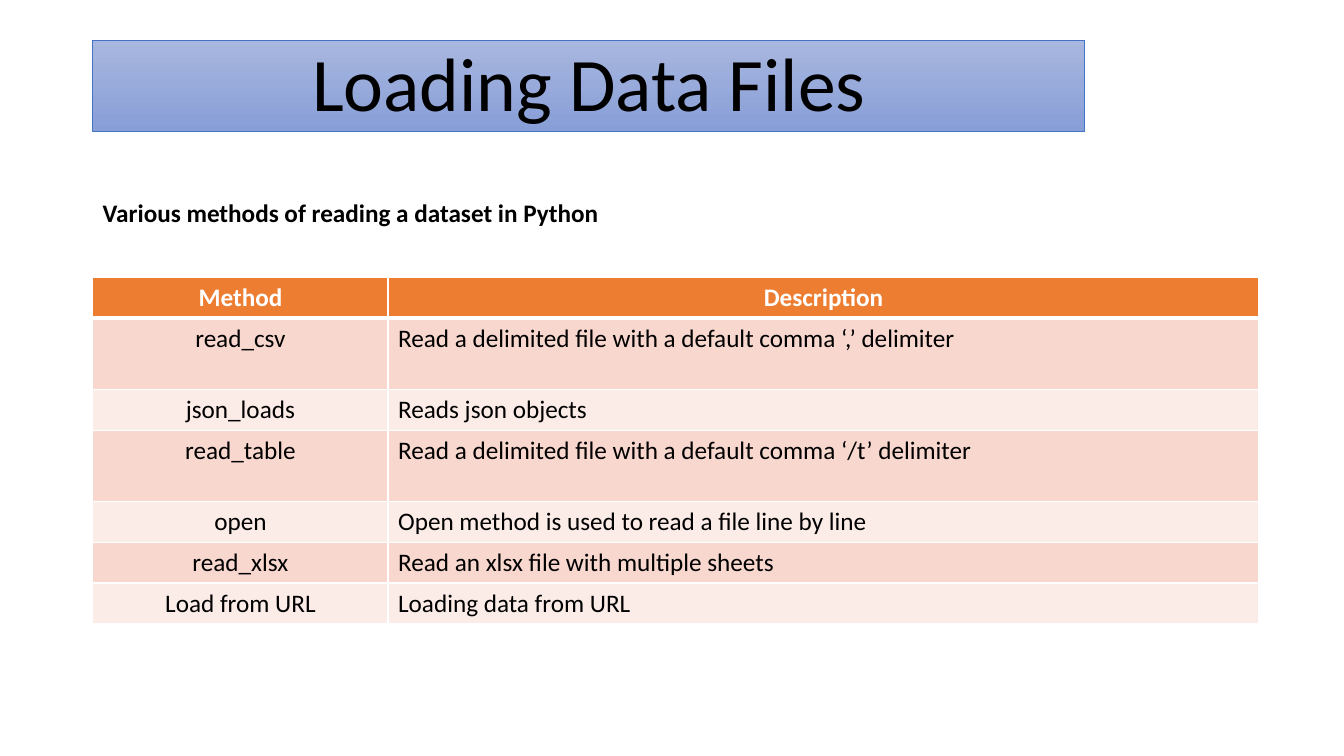
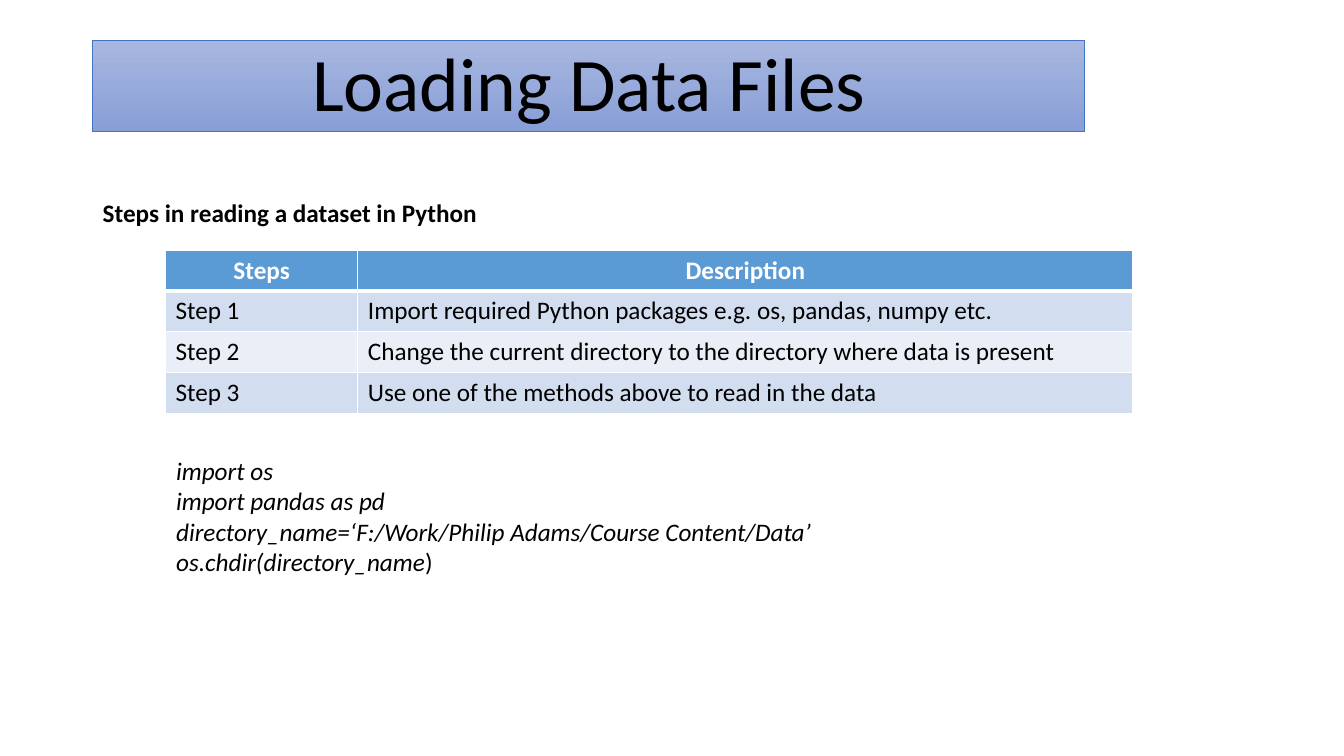
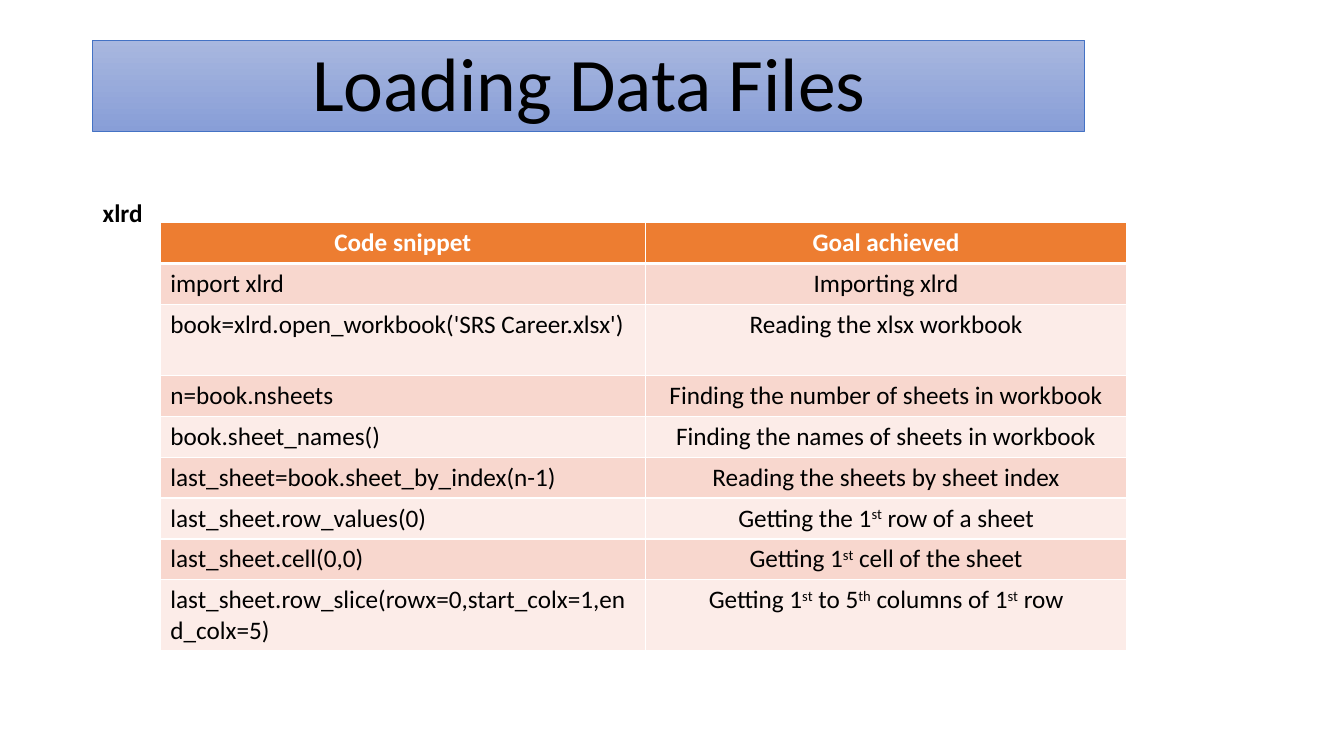
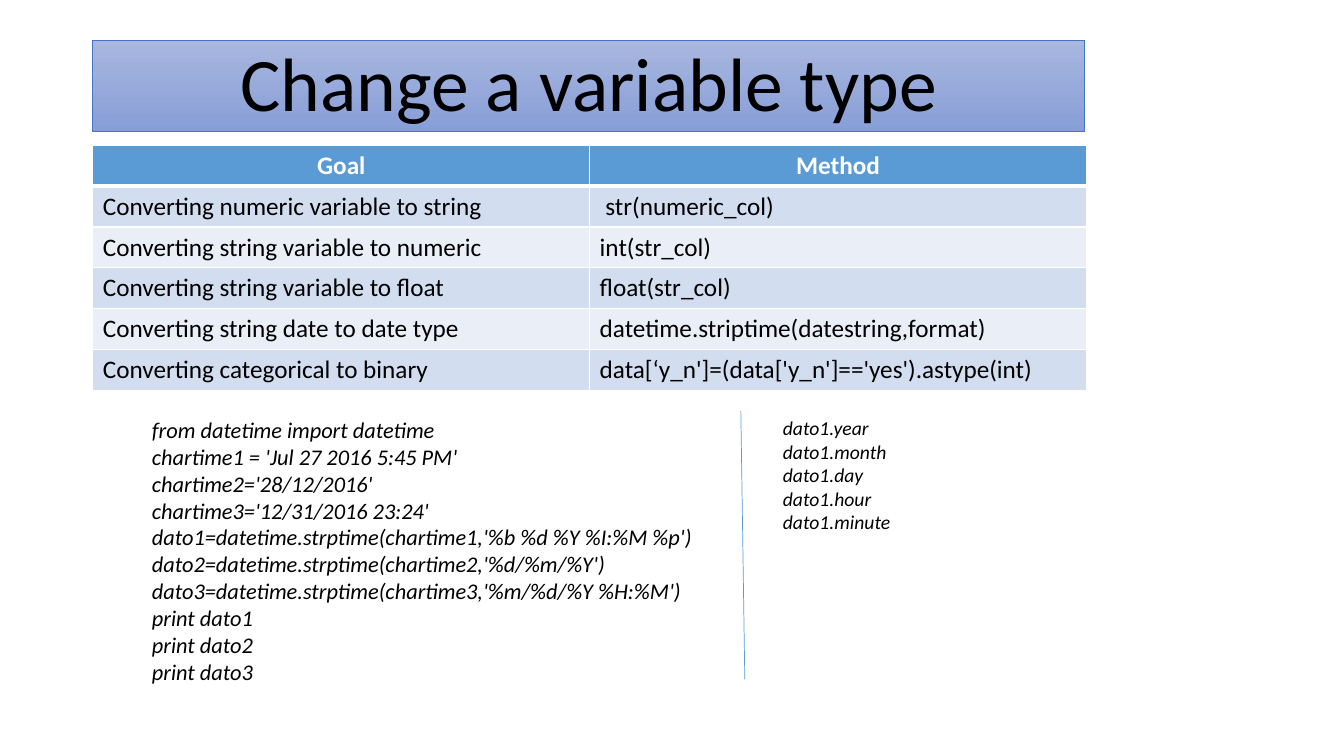
import pptx
import pptx.dml.color
import pptx.enum.shapes
import pptx.enum.text
import pptx.oxml
import pptx.oxml.ns
import pptx.util

Cm = pptx.util.Cm
Pt = pptx.util.Pt
RGBColor = pptx.dml.color.RGBColor
LEFT = pptx.enum.text.PP_ALIGN.LEFT
CENTER = pptx.enum.text.PP_ALIGN.CENTER

FONT = "Calibri"
BLACK = RGBColor(0x00, 0x00, 0x00)
WHITE = RGBColor(0xFF, 0xFF, 0xFF)
TITLE_TOP = RGBColor(0xA8, 0xB7, 0xDF)
TITLE_BOTTOM = RGBColor(0x88, 0x9E, 0xD7)
TITLE_LINE = RGBColor(0x44, 0x72, 0xC4)
BLUE = RGBColor(0x5B, 0x9B, 0xD5)
# Header, odd rows, even rows
ORANGE_ROWS = (RGBColor(0xED, 0x7D, 0x31), RGBColor(0xF8, 0xD7, 0xCE), RGBColor(0xFC, 0xEC, 0xE8))
BLUE_ROWS = (BLUE, RGBColor(0xD2, 0xDE, 0xEF), RGBColor(0xEA, 0xEF, 0xF7))

MARGIN = 2.34
TITLE_BOX = (MARGIN, 1.02, 25, 2.29)
SUBHEAD_BOX = (MARGIN, 4.85, 14.02, 1.02)
ROW_HEIGHT, TALL_ROW_HEIGHT = 1.03, 1.79

# Text between ^ marks is superscript; code after a | mark is upright.
SLIDES = [
    {
        "title": "Loading Data Files",
        "subhead": "Various methods of reading a dataset in Python",
        "table": {
            "corner": (MARGIN, 6.99), "widths": (7.44, 21.95),
            "colours": ORANGE_ROWS, "aligns": (CENTER, LEFT), "tall": (1, 3),
            "rows": [
                ("Method", "Description"),
                ("read_csv", "Read a delimited file with a default comma ‘,’ delimiter"),
                ("json_loads", "Reads json objects"),
                ("read_table", "Read a delimited file with a default comma ‘/t’ delimiter"),
                ("open", "Open method is used to read a file line by line"),
                ("read_xlsx", "Read an xlsx file with multiple sheets"),
                ("Load from URL", "Loading data from URL"),
            ],
        },
    },
    {
        "title": "Loading Data Files",
        "subhead": "Steps in reading a dataset in Python",
        "table": {
            "corner": (4.17, 6.3), "widths": (4.85, 19.53),
            "colours": BLUE_ROWS, "aligns": (LEFT, LEFT), "tall": (),
            "rows": [
                ("Steps", "Description"),
                ("Step 1", "Import required Python packages e.g. os, pandas, numpy etc."),
                ("Step 2", "Change the current directory to the directory where data is present"),
                ("Step 3", "Use one of the methods above to read in the data"),
            ],
        },
        "code": [
            ((4.19, 11.35, 24.33, 3.33), 18, [
                "import os",
                "import pandas as pd",
                "directory_name=‘F:/Work/Philip Adams/Course Content/Data’",
                "os.chdir(directory_name|)",
            ]),
        ],
    },
    {
        "title": "Loading Data Files",
        "subhead": "xlrd",
        "table": {
            "corner": (4.04, 5.61), "widths": (12.22, 12.14),
            "colours": ORANGE_ROWS, "aligns": (LEFT, CENTER), "tall": (2, 8),
            "rows": [
                ("Code snippet", "Goal achieved"),
                ("import xlrd", "Importing xlrd"),
                ("book=xlrd.open_workbook('SRS Career.xlsx')", "Reading the xlsx workbook"),
                ("n=book.nsheets", "Finding the number of sheets in workbook"),
                ("book.sheet_names()", "Finding the names of sheets in workbook"),
                ("last_sheet=book.sheet_by_index(n-1)", "Reading the sheets by sheet index"),
                ("last_sheet.row_values(0)", "Getting the 1^st^ row of a sheet"),
                ("last_sheet.cell(0,0)", "Getting 1^st^ cell of the sheet"),
                ("last_sheet.row_slice(rowx=0,start_colx=1,end_colx=5)",
                 "Getting 1^st^ to 5^th^ columns of 1^st^ row"),
            ],
        },
    },
    {
        "title": "Change a variable type",
        "table": {
            "corner": (MARGIN, 3.66), "widths": (12.52, 12.52),
            "colours": BLUE_ROWS, "aligns": (LEFT, LEFT), "tall": (),
            "rows": [
                ("Goal", "Method"),
                ("Converting numeric variable to string", " str(numeric_col)"),
                ("Converting string variable to numeric", "int(str_col)"),
                ("Converting string variable to float", "float(str_col)"),
                ("Converting string date to date type", "datetime.striptime(datestring,format)"),
                ("Converting categorical to binary", "data[‘y_n']=(data['y_n']=='yes').astype(int)"),
            ],
        },
        "code": [
            ((3.58, 10.36, 14.43, 7.09), 16, [
                "from datetime import datetime",
                "chartime1 = 'Jul 27 2016 5:45 PM'",
                "chartime2='28/12/2016'",
                "chartime3='12/31/2016 23:24'",
                "dato1=datetime.strptime(chartime1,'%b %d %Y %I:%M %p')",
                "dato2=datetime.strptime(chartime2,'%d/%m/%Y')",
                "dato3=datetime.strptime(chartime3,'%m/%d/%Y %H:%M')",
                "print dato1",
                "print dato2",
                "print dato3",
            ]),
            ((19.48, 10.36, 11.28, 3.25), 14, [
                "dato1.year",
                "dato1.month",
                "dato1.day",
                "dato1.hour",
                "dato1.minute",
            ]),
        ],
        "divider": (18.67, 10.36, 18.77, 17.12),
    },
]


def lengths(values):
    return [Cm(value) for value in values]


def set_font(para, size, colour=BLACK, bold=False, italic=False):
    font = para.font
    font.name, font.size = FONT, Pt(size)
    font.bold, font.italic = bold, italic
    font.color.rgb = colour


def format_title(title, text):
    title.left, title.top, title.width, title.height = lengths(TITLE_BOX)
    title.fill.gradient()
    title.fill.gradient_angle = 270
    for stop, colour in zip(title.fill.gradient_stops, (TITLE_TOP, TITLE_BOTTOM)):
        stop.color.rgb = colour
    title.line.color.rgb = TITLE_LINE
    title.line.width = Pt(0.5)
    frame = title.text_frame
    frame.auto_size = pptx.enum.text.MSO_AUTO_SIZE.NONE
    frame.vertical_anchor = pptx.enum.text.MSO_ANCHOR.BOTTOM
    frame.text = text
    para = frame.paragraphs[0]
    para.alignment, para.line_spacing = CENTER, 0.8
    set_font(para, 54)


def add_text(page, place, lines, size, bold=False, italic=False):
    frame = page.shapes.add_textbox(*lengths(place)).text_frame
    frame.word_wrap = True
    for index, line in enumerate(lines):
        para = frame.add_paragraph() if index else frame.paragraphs[0]
        set_font(para, size, bold=bold, italic=italic)
        slanted, _, upright = line.partition("|")
        para.add_run().text = slanted
        if upright:
            span = para.add_run()
            span.text = upright
            span.font.italic = False


def set_borders(cell, bottom):
    """Draw white cell edges, 1 point wide except the bottom one."""
    properties = cell._tc.get_or_add_tcPr()
    edges = {"lnL": 1, "lnR": 1, "lnT": 1, "lnB": bottom}
    for position, (tag, width) in enumerate(edges.items()):
        properties.insert(position, pptx.oxml.parse_xml(
            f'<a:{tag} {pptx.oxml.ns.nsdecls("a")} w="{Pt(width)}"><a:solidFill>'
            f'<a:srgbClr val="{WHITE}"/></a:solidFill></a:{tag}>'))


def fill_cell(cell, text, colour, alignment, header):
    cell.fill.solid()
    cell.fill.fore_color.rgb = colour
    set_borders(cell, bottom=3 if header else 1)
    para = cell.text_frame.paragraphs[0]
    para.alignment = CENTER if header else alignment
    set_font(para, 18, WHITE if header else BLACK, bold=header)
    for index, piece in enumerate(text.split("^")):
        span = para.add_run()
        span.text = piece
        if index % 2:
            span._r.get_or_add_rPr().set("baseline", "30000")


def add_grid(page, corner, widths, colours, aligns, tall, rows):
    heights = [TALL_ROW_HEIGHT if r in tall else ROW_HEIGHT for r in range(len(rows))]
    size = (sum(widths), sum(heights))
    table = page.shapes.add_table(len(rows), len(widths), *lengths(corner + size)).table
    for column, width in zip(table.columns, widths):
        column.width = Cm(width)
    for r, texts in enumerate(rows):
        table.rows[r].height = Cm(heights[r])
        colour = colours[0] if r == 0 else colours[2 - r % 2]
        for c, text in enumerate(texts):
            fill_cell(table.cell(r, c), text, colour, aligns[c], header=r == 0)


def add_divider(page, ends):
    line = page.shapes.add_connector(pptx.enum.shapes.MSO_CONNECTOR.STRAIGHT, *lengths(ends))
    line.line.color.rgb = BLUE
    line.line.width = Pt(0.5)
    line._element.spPr.append(pptx.oxml.parse_xml(
        f'<a:effectLst {pptx.oxml.ns.nsdecls("a")}/>'))


def main():
    deck = pptx.Presentation()
    deck.slide_width, deck.slide_height = lengths((33.87, 19.05))
    title_only = deck.slide_layouts[5]
    for content in SLIDES:
        page = deck.slides.add_slide(title_only)
        format_title(page.shapes.title, content["title"])
        if "subhead" in content:
            add_text(page, SUBHEAD_BOX, [content["subhead"]], 18, bold=True)
        add_grid(page, **content["table"])
        for place, size, lines in content.get("code", []):
            add_text(page, place, lines, size, italic=True)
        if "divider" in content:
            add_divider(page, content["divider"])
    deck.save("out.pptx")


if __name__ == "__main__":
    main()
